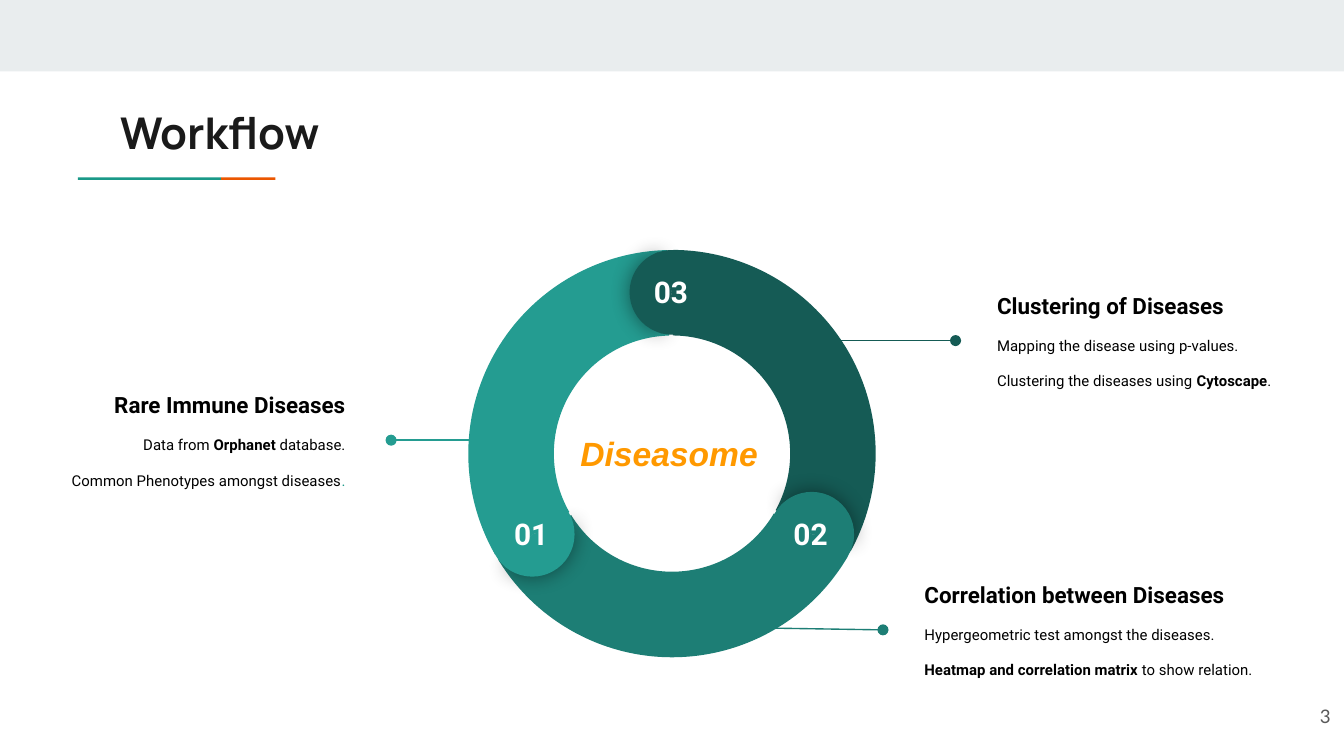
import math
import pptx
import pptx.util
import pptx.dml.color
import pptx.enum.shapes
import pptx.enum.text
import pptx.oxml
import pptx.oxml.ns

W = 10
H = W * 9 / 16
COLORS = {
    "band": "E9EDEE", "title": "1A1A1A", "accent": "1A9988", "orange": "EB5600",
    "left": "249C91", "bottom": "1D7E75", "right": "155B55",
    "black": "000000", "white": "FFFFFF", "gray": "595959", "center": "FF9900",
}
STEPS = [
    {"number": "03", "color": "right", "turn": 0, "align": "LEFT",
     "box": (73.2, 32.56, 23.2), "start": (57, 45.06),
     "head": "Clustering of Diseases",
     "lines": [[("Mapping the disease using p-values.", {})],
               [("Clustering the diseases using ", {}), ("Cytoscape", {"bold": True}), (".", {})]]},
    {"number": "02", "color": "bottom", "turn": 120, "align": "LEFT",
     "box": (67.8, 70.82, 27.7), "start": (54.9, 83.02),
     "head": "Correlation between Diseases",
     "lines": [[("Hypergeometric test amongst the diseases.", {})],
               [("Heatmap and correlation matrix", {"bold": True}), (" to show relation.", {})]]},
    {"number": "01", "color": "left", "turn": 240, "align": "RIGHT",
     "box": (3.5, 45.73, 23.2), "start": (36.1, 58.23),
     "head": "Rare Immune Diseases",
     "lines": [[("Data from ", {}), ("Orphanet", {"bold": True}), (" database.", {})],
               [("Common Phenotypes amongst diseases", {}), (".", {"color": "accent"})]]},
]
BARS = [("band", 0, 0, 100, 9.45), ("accent", 5.8, 23.45, 10.65, 0.36),
        ("orange", 16.45, 23.45, 4.05, 0.36)]
RING, CAP = 0.303 * W, 0.063 * W
CENTER = 0.5 * W, 0.6 * H
BLOCK_H = 0.25 * H
ARC_ADJ = (126.22, 197.2, 0.21)
CAP_BACK, CAP_FRONT = (61.9, 149.96), (40.28, 171.84)
MSO = pptx.enum.shapes.MSO_SHAPE
ALIGN = pptx.enum.text.PP_ALIGN
ANCHOR = pptx.enum.text.MSO_ANCHOR

prs = pptx.Presentation()
prs.slide_width, prs.slide_height = pptx.util.Inches(W), pptx.util.Inches(H)
s = prs.slides.add_slide(prs.slide_layouts[5])


def rgb(name):
    return pptx.dml.color.RGBColor.from_string(COLORS[name])


def inches(*values):
    return [pptx.util.Inches(v) for v in values]


def add_text(tf, text, font="Roboto", size=8, color="black", bold=False, italic=False,
             align="LEFT", before=0):
    p = tf.paragraphs[0] if not tf.text else tf.add_paragraph()
    p.alignment = ALIGN[align]
    p.space_before = pptx.util.Pt(before)
    runs = [(text, {})] if isinstance(text, str) else text
    for words, change in runs:
        r = p.add_run()
        r.text = words
        r.font.name, r.font.size = font, pptx.util.Pt(size)
        r.font.bold, r.font.italic = change.get("bold", bold), italic
        r.font.color.rgb = rgb(change.get("color", color))


def frame(sp, anchor="TOP"):
    tf = sp.text_frame
    tf.word_wrap = True
    tf.auto_size = pptx.enum.text.MSO_AUTO_SIZE.NONE
    tf.vertical_anchor = ANCHOR[anchor]
    tf.margin_left = tf.margin_top = tf.margin_right = tf.margin_bottom = pptx.util.Inches(0.1)
    return tf


def text_box(x, y, w, h, anchor="TOP"):
    return frame(s.shapes.add_textbox(*inches(x, y, w, h)), anchor)


def add_shape(kind, x, y, w, h, color, turn=0, adjust=()):
    sp = s.shapes.add_shape(kind, *inches(x, y, w, h))
    sp.shadow.inherit = False
    sp.fill.solid()
    sp.fill.fore_color.rgb = rgb(color)
    sp.line.fill.background()
    sp.rotation = turn % 360
    for i, value in enumerate(adjust):
        sp.adjustments[i] = value
    return sp


def add_glow(sp):
    effects = sp._element.spPr.find(pptx.oxml.ns.qn("a:effectLst"))
    effects.append(pptx.oxml.parse_xml(
        f'<a:outerShdw {pptx.oxml.ns.nsdecls("a")} blurRad="{pptx.util.Pt(11.2)}" dist="0" '
        'algn="ctr" rotWithShape="0"><a:srgbClr val="000000"><a:alpha val="43000"/>'
        '</a:srgbClr></a:outerShdw>'))


def add_pointer(x1, y1, x2, y2, color):
    line = s.shapes.add_connector(pptx.enum.shapes.MSO_CONNECTOR.STRAIGHT, *inches(x1, y1, x2, y2))
    line.line.color.rgb = rgb(color)
    line.line.width = pptx.util.Pt(0.75)
    ns = pptx.oxml.ns.nsdecls("a")
    line.line._get_or_add_ln().append(pptx.oxml.parse_xml(f'<a:tailEnd {ns} type="oval"/>'))
    line._element.spPr.append(pptx.oxml.parse_xml(f"<a:effectLst {ns}/>"))


def cap_center(step):
    angle = math.radians(step["turn"] - 90)
    radius = (RING - CAP) / 2
    return CENTER[0] + radius * math.cos(angle), CENTER[1] + radius * math.sin(angle)


for color, x, y, w, h in BARS:
    add_shape(MSO.RECTANGLE, x * W / 100, y * H / 100, w * W / 100, h * H / 100, color)

title = s.shapes.title
title.left, title.top, title.width, title.height = inches(0.035 * W, 0.69, 0.257 * W, 0.63)
add_text(frame(title), "Workflow", font="Manrope", size=23.4, color="title", bold=True,
         align="CENTER")

for step in STEPS:
    left, top, width = (v * share / 100 for v, share in zip(step["box"], (W, H, W)))
    tf = text_box(left, top, width, BLOCK_H, "MIDDLE")
    add_text(tf, step["head"], size=12, bold=True, align=step["align"])
    for line in step["lines"]:
        add_text(tf, line, align=step["align"], before=9.4)
    end = left + width + 0.24 if step["align"] == "RIGHT" else left - 0.21
    x, y = step["start"]
    add_pointer(x * W / 100, y * H / 100, end, top + BLOCK_H / 2, step["color"])

for step in STEPS:
    add_shape(MSO.BLOCK_ARC, CENTER[0] - RING / 2, CENTER[1] - RING / 2, RING, RING,
              step["color"], step["turn"] + 60, ARC_ADJ)

for step in STEPS:
    x, y = cap_center(step)
    cap = x - CAP / 2, y - CAP / 2, CAP, CAP, step["color"]
    add_glow(add_shape(MSO.PIE, *cap, step["turn"] + 0.7, CAP_BACK))
    add_shape(MSO.PIE, *cap, step["turn"] + 180, CAP_FRONT)
    add_text(text_box(x - 0.26, y - 0.24, 0.56, 0.29), step["number"] + " ", size=16,
             color="white", bold=True, align="CENTER")

add_text(text_box(0.422 * W, 3.12, 0.157 * W, 0.55), "Diseasome", font="Arial", size=18,
         color="center", bold=True, italic=True)
add_text(text_box(0.94 * W, 5.11, 0.06 * W, 0.43, "MIDDLE"), "3", font="Lato", size=10,
         color="gray", align="RIGHT")

prs.save("out.pptx")
